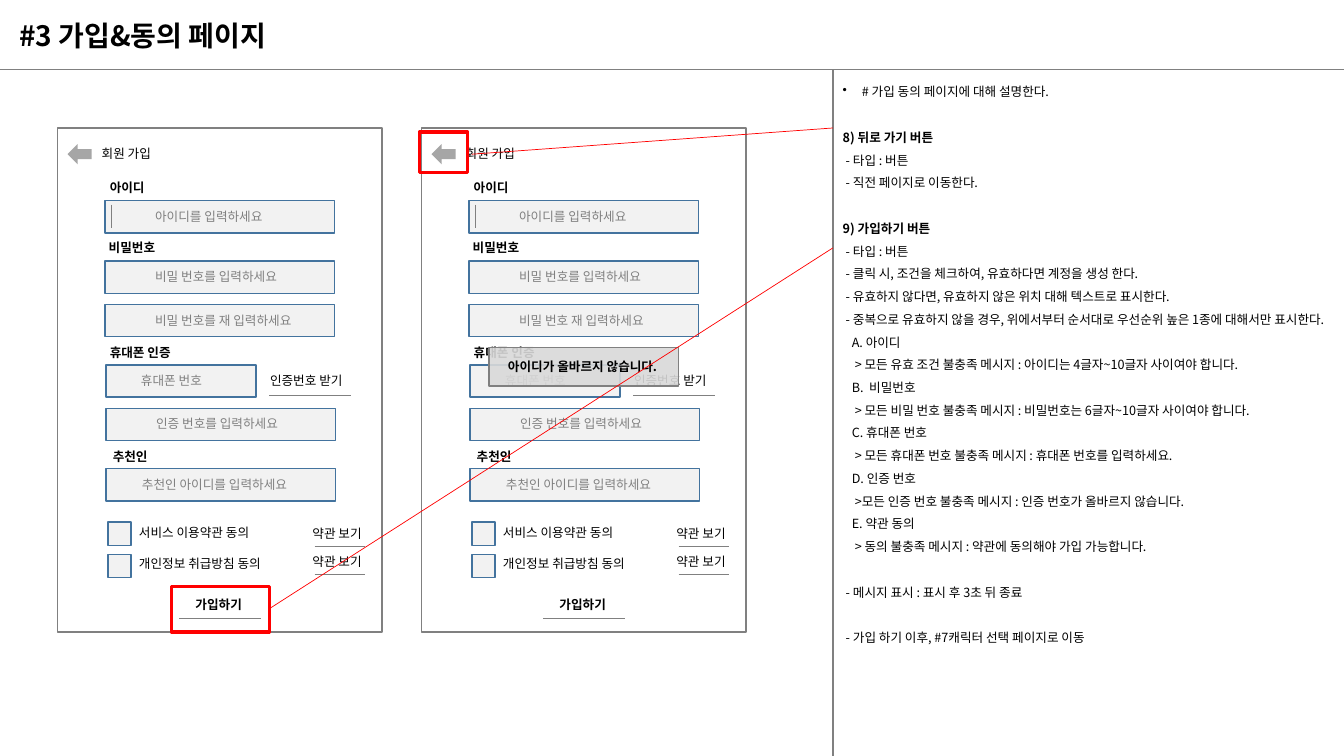
from lxml.etree import SubElement
from pptx import Presentation
from pptx.dml.color import RGBColor
from pptx.enum.shapes import MSO_CONNECTOR as Connector, MSO_SHAPE as Preset
from pptx.enum.text import MSO_AUTO_SIZE as AutoSize
from pptx.oxml.ns import qn
from pptx.util import Inches, Pt

COLORS = {"ink": "000000", "grey": "808080", "arrow": "A6A6A6", "field": "F2F2F2",
          "edge": "43739E", "toast": "D9D9D9", "mark": "FF0000"}


class Wireframe:
    """Holds the text style and the slide being drawn."""

    font = "Noto Sans CJK KR"

    def __init__(self, slide):
        self.slide = slide

    def color(self, name):
        return RGBColor.from_string(COLORS[name])

    def box(self, x, y, w, h, fill=None, line=None, weight=1, preset=Preset.RECTANGLE, alpha=None):
        shape = self.slide.shapes.add_shape(preset, Inches(x), Inches(y), Inches(w), Inches(h))
        shape.shadow.inherit = False
        if fill:
            shape.fill.solid()
            shape.fill.fore_color.rgb = self.color(fill)
        else:
            shape.fill.background()
        if alpha:
            tint = shape.fill._xPr.find(qn("a:solidFill"))[0]
            SubElement(tint, qn("a:alpha")).set("val", str(alpha * 1000))
        if line:
            shape.line.color.rgb = self.color(line)
            shape.line.width = Pt(weight)
        else:
            shape.line.fill.background()

    def line(self, x1, y1, x2, y2, color="grey", weight=0.5):
        rule = self.slide.shapes.add_connector(
            Connector.STRAIGHT, Inches(x1), Inches(y1), Inches(x2), Inches(y2))
        rule.line.color.rgb = self.color(color)
        rule.line.width = Pt(weight)
        SubElement(rule._element.spPr, qn("a:effectLst"))

    def style(self, paragraph, size=9, color="ink", bold=False):
        paragraph.font.size = Pt(size)
        paragraph.font.bold = bold
        paragraph.font.color.rgb = self.color(color)
        paragraph.font.name = self.font
        defaults = paragraph._p.pPr.find(qn("a:defRPr"))
        SubElement(defaults, qn("a:ea")).set("typeface", self.font)
        return defaults

    def frame(self, x, y, w, h, wrap):
        frame = self.slide.shapes.add_textbox(Inches(x), Inches(y), Inches(w), Inches(h)).text_frame
        frame.word_wrap = wrap
        frame.auto_size = AutoSize.SHAPE_TO_FIT_TEXT
        return frame

    def text(self, words, x, y, w, h=0.25, wrap=False, **style):
        paragraph = self.frame(x, y, w, h, wrap).paragraphs[0]
        paragraph.text = words
        self.style(paragraph, **style)

    def notes(self, entries, x, y, w, h):
        frame = self.frame(x, y, w, h, True)
        indents = {"-": 0.03, ">": 0.12}
        for index, (words, gap) in enumerate(entries):
            paragraph = frame.add_paragraph() if index else frame.paragraphs[0]
            paragraph.text = words
            paragraph.line_spacing = 1.5
            if gap:
                paragraph.space_before = Pt(16.3)
            defaults = self.style(paragraph, bold=words[1] == ")")
            props = paragraph._p.pPr
            if words[0] == "#":
                props.set("marL", str(Inches(0.19)))
                props.set("indent", str(-Inches(0.19)))
                bullet = SubElement(props, qn("a:buChar"))
                bullet.set("char", "•")
                defaults.addprevious(bullet)
            else:
                first = 0.09 if words[1] == "." else indents.get(words[0], 0)
                props.set("indent", str(Inches(first)))

    def field(self, x, y, w, hint, hint_x, hint_w):
        self.box(x, y, w, 0.32, "field", "edge")
        self.text(hint, hint_x, y + 0.03, hint_w, color="grey")

    def signup(self, left, confirm_hint, confirm_w):
        self.box(left, 1.27, 3.22, 5, line="grey")
        self.box(left + 0.1, 1.43, 0.24, 0.2, "arrow", preset=Preset.LEFT_ARROW)
        self.text("회원 가입", left + 0.34, 1.4, 0.75)
        for x, y, w, hint, hint_x, hint_w in (
                (0.47, 1.99, 2.28, "아이디를 입력하세요", 0.87, 1.38),
                (0.47, 2.59, 2.28, "비밀 번호를 입력하세요", 0.87, 1.55),
                (0.47, 3.02, 2.28, confirm_hint, 0.87, confirm_w),
                (0.48, 3.62, 1.49, "휴대폰 번호", 0.73, 0.88),
                (0.48, 4.05, 2.28, "인증 번호를 입력하세요", 0.88, 1.55),
                (0.48, 4.65, 2.28, "추천인 아이디를 입력하세요", 0.74, 1.8)):
            self.field(left + x, y, w, hint, left + hint_x, hint_w)
        self.line(left + 0.53, 2.03, left + 0.53, 2.26)
        for heading, x, y, w in (("아이디", 0.42, 1.74, 0.58), ("비밀번호", 0.41, 2.33, 0.71),
                                 ("휴대폰 인증", 0.42, 3.37, 0.88), ("추천인", 0.45, 4.4, 0.58),
                                 ("가입하기", 1.27, 5.87, 0.71)):
            self.text(heading, left + x, y, w, bold=True)
        self.text("인증번호 받기", left + 2.01, 3.65, 1)
        for consent, text_y, check_y, view_y, w in (("서비스 이용약관 동의", 5.16, 5.18, 5.17, 1.43),
                                                    ("개인정보 취급방침 동의", 5.47, 5.5, 5.45, 1.55)):
            self.box(left + 0.5, check_y, 0.23, 0.23, "field", "edge")
            self.text(consent, left + 0.71, text_y, w)
            self.text("약관 보기", left + 2.43, view_y, 0.75)
        for x, y, w in ((2.1, 3.92, 0.81), (1.21, 6.13, 0.81), (2.55, 5.42, 0.5), (2.55, 5.7, 0.5)):
            self.line(left + x, y, left + x + w, y)


NOTES = [
    ("# 가입 동의 페이지에 대해 설명한다.", False),
    ("8) 뒤로 가기 버튼", True),
    ("- 타입 : 버튼", False),
    ("- 직전 페이지로 이동한다.", False),
    ("9) 가입하기 버튼", True),
    ("- 타입 : 버튼", False),
    ("- 클릭 시, 조건을 체크하여, 유효하다면 계정을 생성 한다.", False),
    ("- 유효하지 않다면, 유효하지 않은 위치 대해 텍스트로 표시한다.", False),
    ("- 중복으로 유효하지 않을 경우, 위에서부터 순서대로 우선순위 높은 1종에 대해서만 표시한다.", False),
    ("A. 아이디", False),
    ("> 모든 유효 조건 불충족 메시지 : 아이디는 4글자~10글자 사이여야 합니다.", False),
    ("B.  비밀번호", False),
    ("> 모든 비밀 번호 불충족 메시지 : 비밀번호는 6글자~10글자 사이여야 합니다.", False),
    ("C. 휴대폰 번호", False),
    ("> 모든 휴대폰 번호 불충족 메시지 : 휴대폰 번호를 입력하세요.", False),
    ("D. 인증 번호", False),
    (">모든 인증 번호 불충족 메시지 : 인증 번호가 올바르지 않습니다.", False),
    ("E. 약관 동의", False),
    ("> 동의 불충족 메시지 : 약관에 동의해야 가입 가능합니다.", False),
    ("- 메시지 표시 : 표시 후 3초 뒤 종료", True),
    ("- 가입 하기 이후, #7캐릭터 선택 페이지로 이동", True),
]

deck = Presentation()
deck.slide_width, deck.slide_height = Inches(13.33), Inches(7.5)
page = Wireframe(deck.slides.add_slide(deck.slide_layouts[6]))

page.line(0, 0.69, 13.33, 0.69, weight=1)
page.line(8.26, 7.5, 8.26, 0.69, weight=1)
page.text("#3 가입&동의 페이지", 0.09, 0.13, 4.88, 0.44, wrap=True, size=20, bold=True)
page.notes(NOTES, 8.26, 0.71, 5.07, 6.01)

page.signup(4.18, "비밀 번호 재 입력하세요", 1.6)
page.box(4.85, 3.45, 1.88, 0.38, "toast", "grey", alpha=90)
page.text("아이디가 올바르지 않습니다.", 4.94, 3.51, 1.83, wrap=True, bold=True)
page.signup(0.57, "비밀 번호를 재 입력하세요", 1.72)

page.box(1.7, 5.82, 0.97, 0.45, line="mark", weight=2.25)
page.line(2.67, 6.04, 8.26, 2.46, "mark")
page.line(4.68, 1.53, 8.26, 1.27, "mark")
page.box(4.16, 1.31, 0.48, 0.4, line="mark", weight=2.25)
deck.save("out.pptx")
